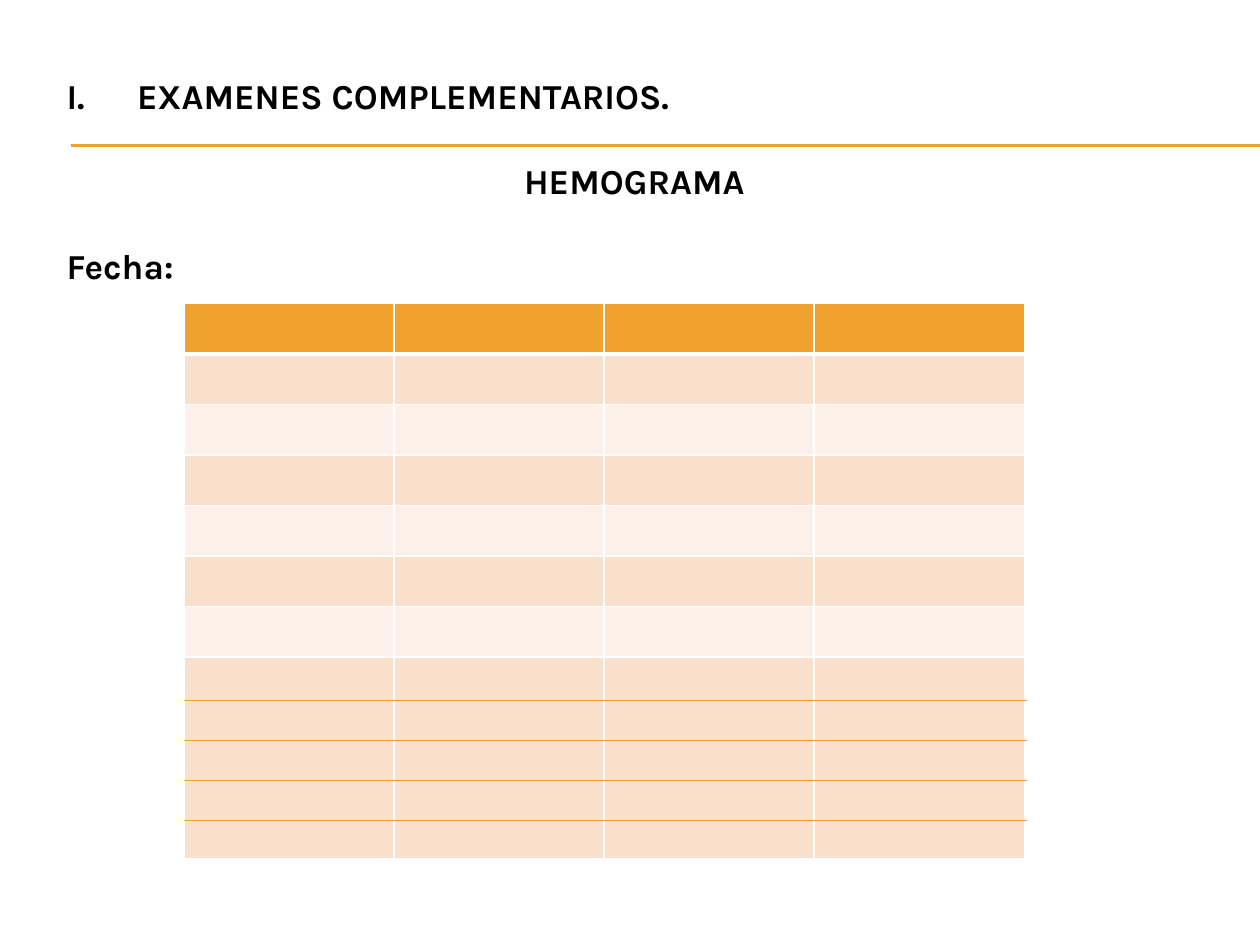
from dataclasses import dataclass
from lxml import etree
from pptx import Presentation
from pptx.dml.color import RGBColor as RGB
from pptx.enum.shapes import MSO_CONNECTOR as Conn
from pptx.enum.text import MSO_AUTO_SIZE as Auto, PP_ALIGN as Align
from pptx.oxml.ns import qn
from pptx.util import Inches, Pt


@dataclass(frozen=True)
class Theme:
    font: str = "Karla"
    size: float = 20
    gap: float = 24.6
    ink: str = "000000"
    gold: str = "F0A22E"
    dark: str = "F9E0CD"
    light: str = "FCF0E8"
    white: str = "FFFFFF"


def put(par, text, theme, align=Align.LEFT, bold=True, before=0):
    par.alignment = align
    par.space_before = Pt(before)
    run = par.add_run()
    run.text = text
    font = run.font
    font.name, font.size, font.bold = theme.font, Pt(theme.size), bold
    font.color.rgb = RGB.from_string(theme.ink)


def number(par, indent):
    props = par._p.get_or_add_pPr()
    props.set("marL", str(Inches(indent)))
    props.set("indent", str(Inches(-indent)))
    etree.SubElement(props, qn("a:buFont"), typeface="+mj-lt")
    etree.SubElement(props, qn("a:buAutoNum"), type="romanUcPeriod")


def edge(cell, side, color, width):
    props = cell._tc.get_or_add_tcPr()
    line = etree.SubElement(props, qn("a:ln" + side), w=str(Pt(width)))
    fill = etree.SubElement(line, qn("a:solidFill"))
    etree.SubElement(fill, qn("a:srgbClr"), val=color)


class Page:
    def __init__(self, deck, theme):
        self.theme = theme
        self.slide = deck.slides.add_slide(deck.slide_layouts[6])

    def rule(self, left, right, y, width):
        line = self.slide.shapes.add_connector(
            Conn.STRAIGHT, Inches(left), Inches(y), Inches(right), Inches(y))
        line.line.color.rgb = RGB.from_string(self.theme.gold)
        line.line.width = Pt(width)
        etree.SubElement(line._element.spPr, qn("a:effectLst"))

    def text(self, left, top, width, height, items):
        box = self.slide.shapes.add_textbox(*map(Inches, (left, top, width, height)))
        frame = box.text_frame
        frame.word_wrap = True
        frame.auto_size = Auto.SHAPE_TO_FIT_TEXT
        for i, (words, align) in enumerate(items):
            par = frame.add_paragraph() if i else frame.paragraphs[0]
            put(par, words, self.theme, align=align, before=self.theme.gap if i else 0)
        return frame

    def grid(self, left, top, width, cols, heights):
        look = self.theme
        shape = self.slide.shapes.add_table(
            len(heights), cols, *map(Inches, (left, top, width, sum(heights))))
        table = shape.table
        for r, height in enumerate(heights):
            table.rows[r].height = Inches(height)
            color = (look.dark if r % 2 else look.light) if r else look.gold
            for cell in table.rows[r].cells:
                # Borders come before the fill in the cell properties
                for side in "LRTB":
                    thick = (r == 0 and side == "B") or (r == 1 and side == "T")
                    edge(cell, side, look.white, 3 if thick else 1)
                cell.fill.solid()
                cell.fill.fore_color.rgb = RGB.from_string(color)


deck = Presentation()
deck.slide_width, deck.slide_height = Inches(10), Inches(7.5)
page = Page(deck, Theme())

# Heading rules
for y in (1.15, 1.15, 1.16):
    page.rule(0.56, 10, y, 0.75)

# Headings
frame = page.text(0.43, 0.54, 9.21, 1.76, [
    ("EXAMENES COMPLEMENTARIOS.", Align.LEFT),
    ("HEMOGRAMA", Align.CENTER),
    ("Fecha: ", Align.LEFT),
])
number(frame.paragraphs[0], 0.56)

# Blood count table, with the tall last row split by rules
page.grid(1.46, 2.41, 6.67, 4, [0.4] * 7 + [1.6])
for i in range(4):
    page.rule(1.46, 8.15, 5.56 + i * 0.3167, 0.79)

deck.save("out.pptx")
